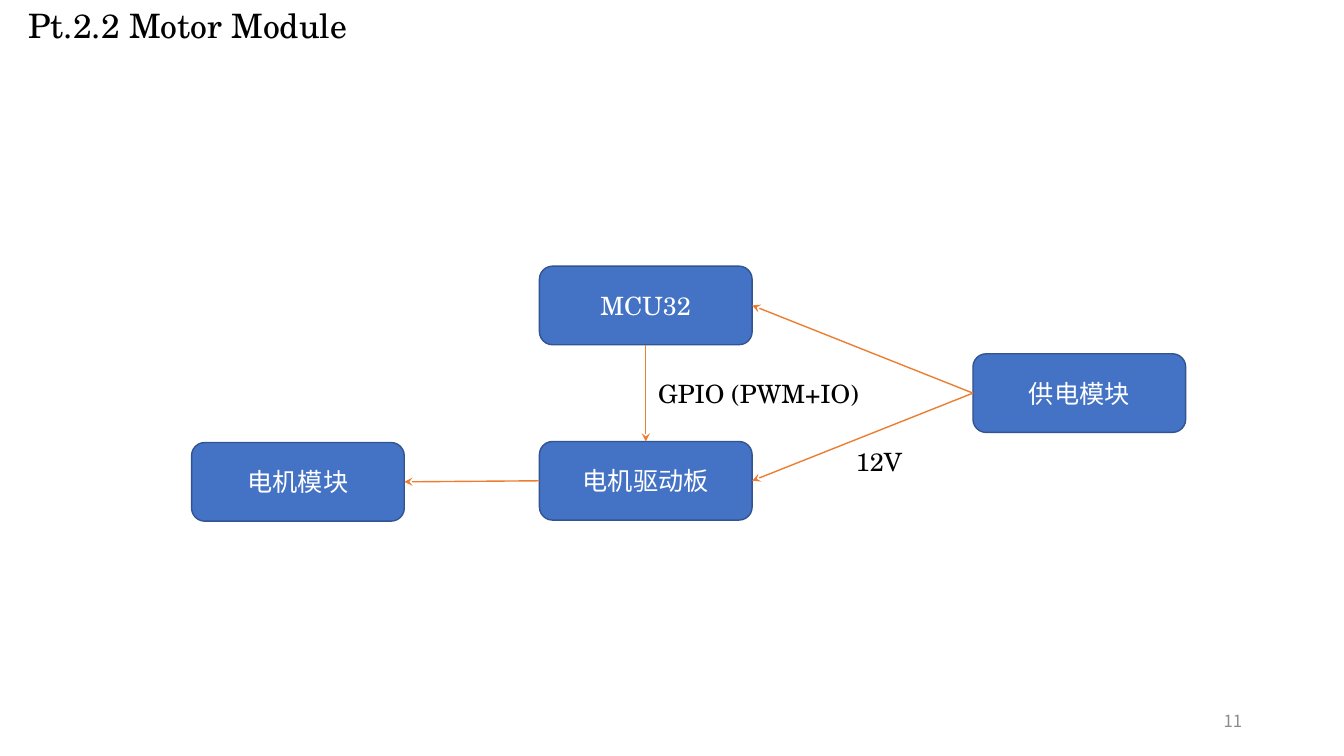
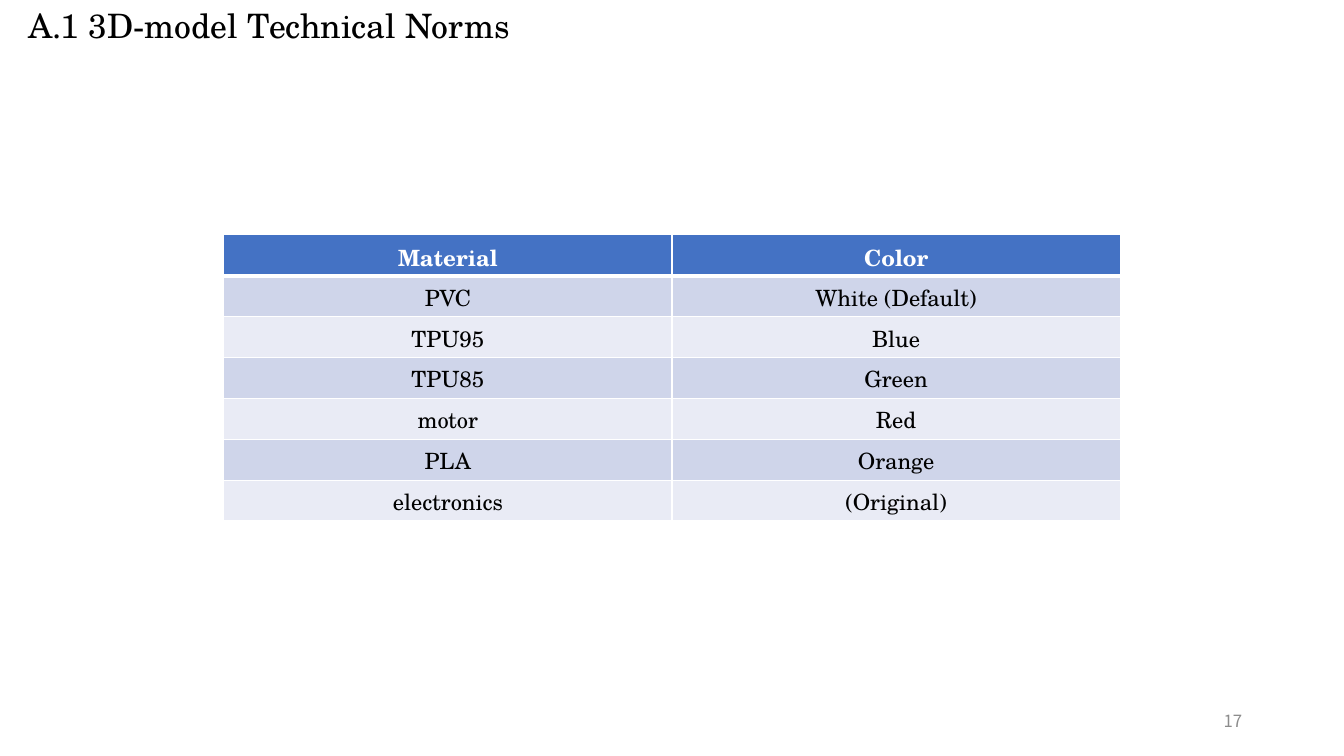
import pptx
import pptx.dml.color
import pptx.enum.shapes
import pptx.enum.text
import pptx.oxml
import pptx.oxml.ns
import pptx.util
from lxml import etree

Inches = pptx.util.Inches
Pt = pptx.util.Pt
ALIGN = pptx.enum.text.PP_ALIGN
ANCHOR = pptx.enum.text.MSO_ANCHOR
qn = pptx.oxml.ns.qn

COLORS = {
    "ink": "000000", "paper": "FFFFFF", "blue": "4472C4", "edge": "325491",
    "arrow": "ED7D31", "number": "8C8C8C", "band_dark": "CFD5EA", "band_light": "E9EBF5",
}
SERIF = "TeX Gyre Schola"
SANS = "Noto Sans CJK SC"
TITLE = {"name": SERIF, "size": Pt(24), "bold": False}
LABEL = {"name": SERIF, "size": Pt(18)}
NUMBER = {"name": SANS, "size": Pt(12)}
CELL = {"name": SERIF, "size": Pt(16), "bold": False}
HEADER = {**CELL, "bold": True}


def rgb(name):
    return pptx.dml.color.RGBColor.from_string(COLORS[name])


def write(frame, text, style, color, align, anchor):
    """Fill a text frame with one formatted paragraph."""
    frame.vertical_anchor = anchor
    para = frame.paragraphs[0]
    para.alignment = align
    span = para.add_run()
    span.text = text
    for key, value in style.items():
        setattr(span.font, key, value)
    span.font.color.rgb = rgb(color)
    east_asian = etree.SubElement(span.font._element, qn("a:ea"))
    east_asian.set("typeface", SANS)


def add_label(page, box, text, style=LABEL, color="ink", align=ALIGN.LEFT,
              anchor=ANCHOR.TOP, wrap=False):
    frame = page.shapes.add_textbox(*map(Inches, box)).text_frame
    frame.word_wrap = wrap
    write(frame, text, style, color, align, anchor)


def add_page(deck, title, number):
    """Slide with the shared title and page number."""
    page = deck.slides.add_slide(deck.slide_layouts[5])
    heading = page.shapes.title
    place = {"left": 0, "top": 0, "width": 8.29, "height": 0.5}
    for key, value in place.items():
        setattr(heading, key, Inches(value))
    frame = heading.text_frame
    frame.auto_size = pptx.enum.text.MSO_AUTO_SIZE.NONE
    frame.margin_left = Inches(0.28)
    write(frame, title, TITLE, "ink", ALIGN.LEFT, ANCHOR.TOP)
    add_label(page, (9.42, 6.95, 3, 0.4), str(number), NUMBER, "number",
              ALIGN.RIGHT, ANCHOR.MIDDLE, True)
    return page


def add_module(page, left, top, text):
    box = page.shapes.add_shape(pptx.enum.shapes.MSO_SHAPE.ROUNDED_RECTANGLE,
                                *map(Inches, (left, top, 2.11, 0.78)))
    box.shadow.inherit = False
    box.fill.solid()
    box.fill.fore_color.rgb = rgb("blue")
    box.line.color.rgb = rgb("edge")
    box.line.width = Pt(1)
    write(box.text_frame, text, LABEL, "paper", ALIGN.CENTER, ANCHOR.MIDDLE)
    return box


def add_arrow(page, start, start_site, end, end_site):
    """Arrow glued to connection sites of two modules."""
    arrow = page.shapes.add_connector(pptx.enum.shapes.MSO_CONNECTOR.STRAIGHT, 0, 0, 0, 0)
    arrow.begin_connect(start, start_site)
    arrow.end_connect(end, end_site)
    arrow.line.color.rgb = rgb("arrow")
    arrow.line.width = Pt(1)
    etree.SubElement(arrow.line._get_or_add_ln(), qn("a:tailEnd")).set("type", "stealth")
    etree.SubElement(arrow._element.spPr, qn("a:effectLst"))


def add_diagram(page, box):
    """Motor control diagram, laid out from the corner of its box."""
    left, top = box[:2]
    controller = add_module(page, left + 3.45, top, "MCU32")
    motor = add_module(page, left, top + 1.75, "电机模块")
    power = add_module(page, left + 7.75, top + 0.87, "供电模块")
    driver = add_module(page, left + 3.45, top + 1.74, "电机驱动板")

    # Connection sites of a rounded rectangle
    up, west, down, east = range(4)
    for link in ((driver, west, motor, east), (power, west, controller, east),
                 (controller, down, driver, up), (power, west, driver, east)):
        add_arrow(page, *link)

    add_label(page, (left + 4.53, top + 1.06, 2.21, 0.4), "GPIO (PWM+IO)")
    add_label(page, (left + 6.49, top + 1.74, 0.66, 0.4), "12V")


def set_borders(cell, widths):
    """White borders, with widths in points by side."""
    properties = cell._tc.get_or_add_tcPr()
    for index, side in enumerate("LRTB"):
        line = etree.Element(qn(f"a:ln{side}"), w=str(Pt(widths.get(side, 1))))
        fill = etree.SubElement(line, qn("a:solidFill"))
        etree.SubElement(fill, qn("a:srgbClr")).set("val", COLORS["paper"])
        properties.insert(index, line)


def add_norms(page, box, rows):
    """Banded table with equal rows and columns."""
    table = page.shapes.add_table(len(rows), len(rows[0]), *map(Inches, box)).table
    for row in table.rows:
        row.height = Inches(box[3] / len(rows))
    for r, values in enumerate(rows):
        if r == 0:
            style, color, fill, borders = HEADER, "paper", "blue", {"B": 3}
        else:
            style, color = CELL, "ink"
            fill = "band_dark" if r % 2 else "band_light"
            borders = {"T": 3} if r == 1 else {}
        for c, text in enumerate(values):
            cell = table.cell(r, c)
            cell.fill.solid()
            cell.fill.fore_color.rgb = rgb(fill)
            set_borders(cell, borders)
            write(cell.text_frame, text, style, color, ALIGN.CENTER, ANCHOR.TOP)
            cell.vertical_anchor = ANCHOR.MIDDLE


def main():
    deck = pptx.Presentation()
    deck.slide_width = Inches(13.33)
    deck.slide_height = Inches(7.5)

    # Motor module
    page = add_page(deck, "Pt.2.2 Motor Module", 11)
    add_diagram(page, (1.9, 2.64, 9.86, 2.53))

    # Technical norms
    page = add_page(deck, "A.1 3D-model Technical Norms", 17)
    add_norms(page, (2.22, 2.33, 8.89, 2.84), [
        ("Material", "Color"),
        ("PVC", "White (Default)"),
        ("TPU95", "Blue"),
        ("TPU85", "Green"),
        ("motor", "Red"),
        ("PLA", "Orange"),
        ("electronics", "(Original)"),
    ])
    deck.save("out.pptx")


if __name__ == "__main__":
    main()
